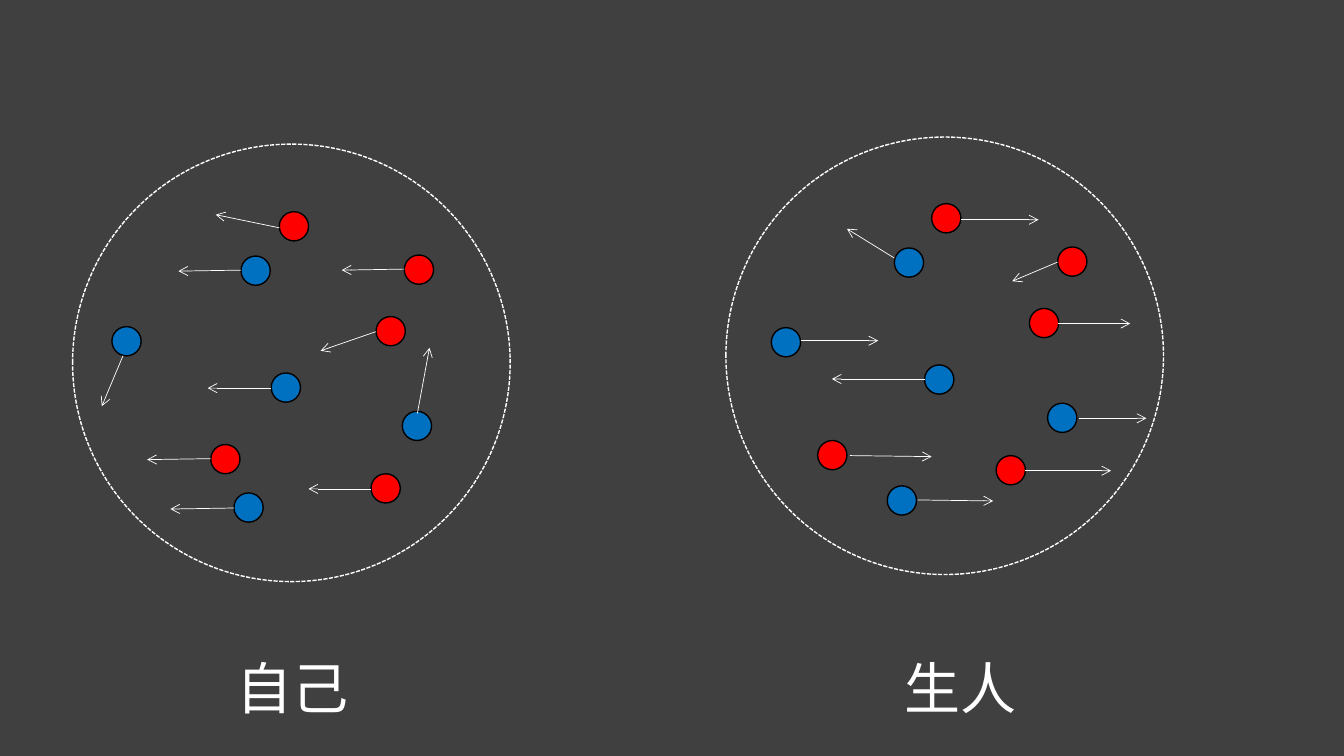
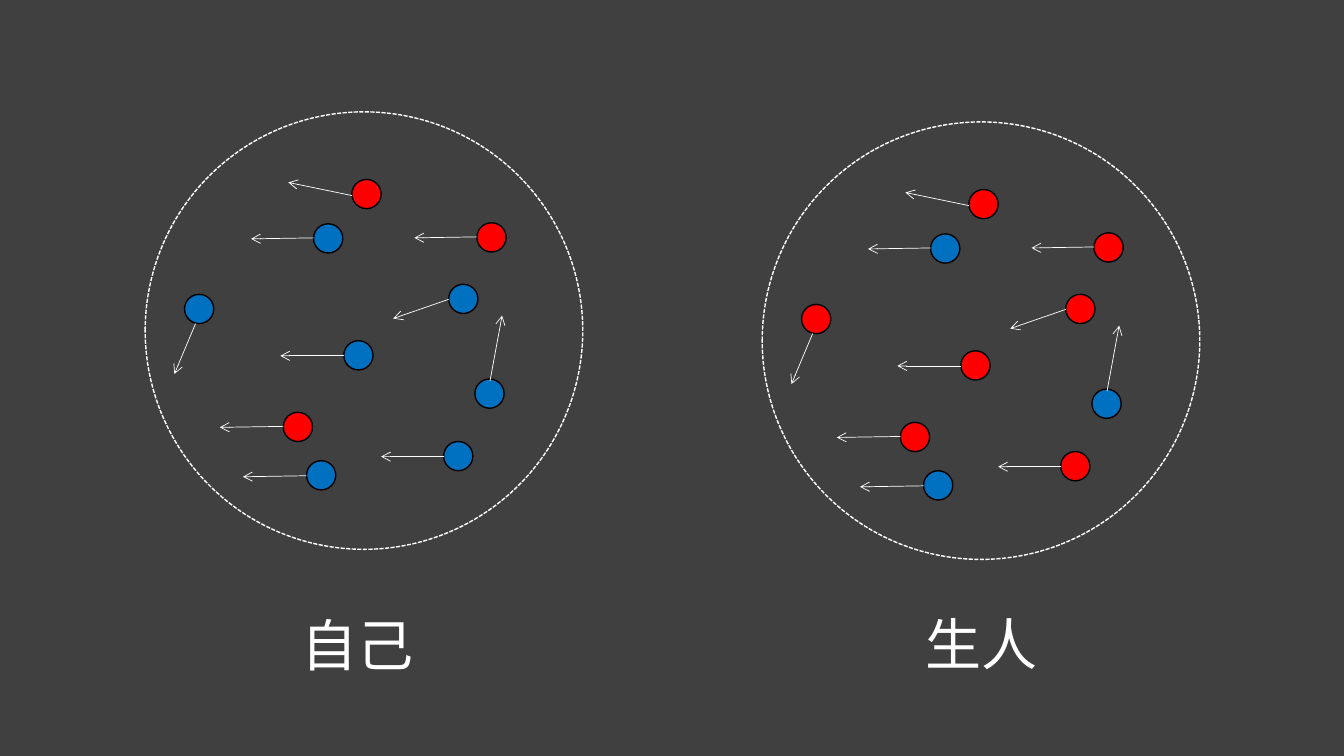
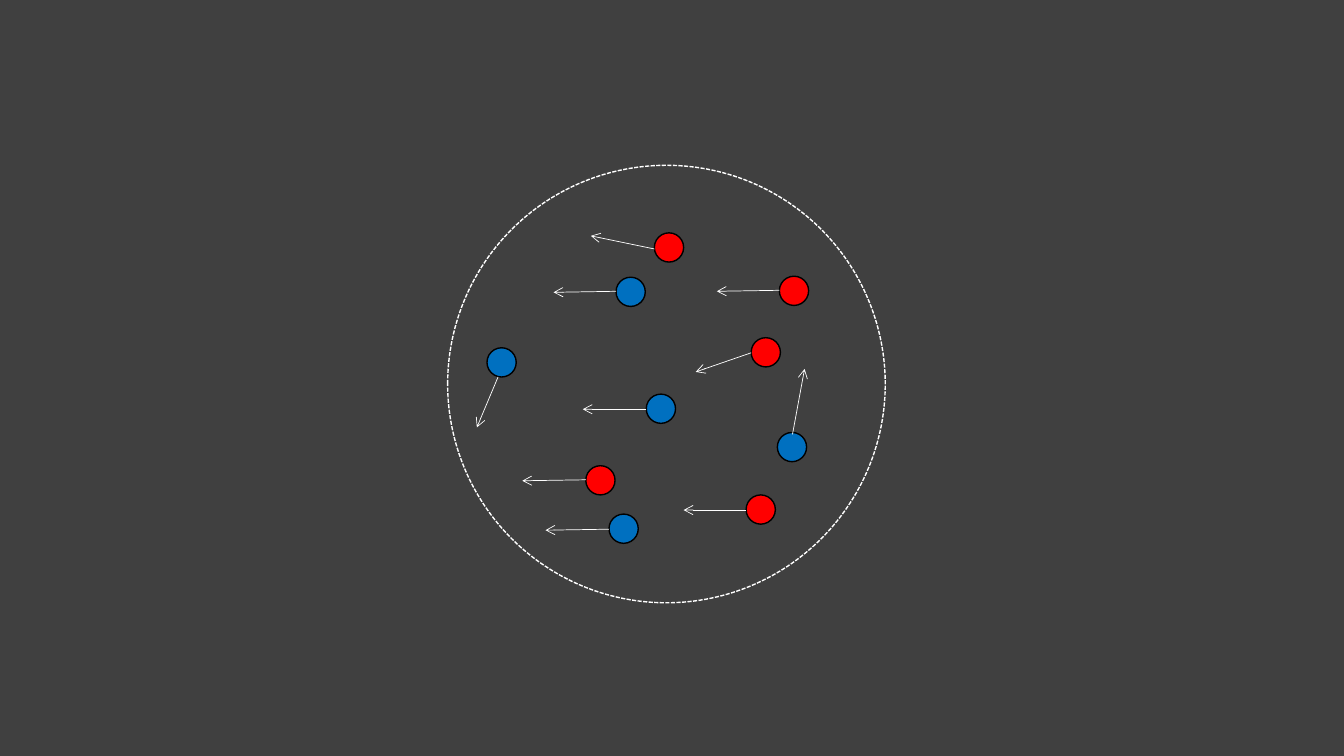
import pptx
import pptx.util
import pptx.dml.color
import pptx.enum.dml
import pptx.enum.shapes
import pptx.enum.text
import pptx.oxml.ns
import lxml.etree

EMU_PER_PX = 9144
SLIDE_WIDTH, SLIDE_HEIGHT = 1333, 750
BACKGROUND, WHITE, BLACK = "404040", "FFFFFF", "000000"
DOT_COLOURS = {"R": "FF0000", "B": "0070C0"}
FONT = "Noto Sans CJK SC"
CIRCLE_SIZE, DOT_SIZE = 434, 29
CAPTION_WIDTH, CAPTION_HEIGHT = 132, 77

# Each entry: dot corner, arrow start, arrow end, all measured from the circle's box.
ALIGNED_MOTION = [
    ((137, 298), (137, 312), (74, 313)),
    ((301, 171), (301, 186), (246, 205)),
    ((197, 227), (197, 242), (134, 242)),
    ((296, 327), (296, 342), (234, 342)),
    ((205, 67), (205, 83), (142, 70)),
    ((39, 181), (50, 210), (29, 260)),
    ((329, 110), (329, 124), (267, 125)),
    ((327, 265), (342, 267), (354, 202)),
    ((167, 111), (167, 125), (105, 126)),
    ((160, 346), (160, 361), (97, 362)),
]
OPPOSED_MOTION = [
    ((91, 301), (123, 316), (204, 317)),
    ((301, 170), (329, 185), (401, 185)),
    ((197, 226), (197, 240), (105, 240)),
    ((268, 316), (297, 331), (382, 331)),
    ((204, 66), (233, 82), (310, 82)),
    ((45, 189), (74, 202), (151, 202)),
    ((329, 109), (329, 124), (284, 143)),
    ((319, 264), (350, 279), (417, 279)),
    ((167, 110), (167, 120), (120, 91)),
    ((160, 346), (190, 360), (265, 361)),
]
MIXED, MOSTLY_BLUE, MOSTLY_RED = "RRBRRBRBBB", "RBBBRBRBBB", "RRRRRRRBBB"

SLIDES = [
    [
        ((72, 143), ALIGNED_MOTION, MIXED, "自己", (225, 643)),
        ((720, 136), OPPOSED_MOTION, MIXED, "生人", (887, 643)),
    ],
    [
        ((144, 111), ALIGNED_MOTION, MOSTLY_BLUE, "自己", (289, 601)),
        ((756, 121), ALIGNED_MOTION, MOSTLY_RED, "生人", (908, 600)),
    ],
    [
        ((444, 164), ALIGNED_MOTION, MIXED, None, None),
    ],
]


def px(length):
    return pptx.util.Emu(length * EMU_PER_PX)


def colour(hex_string):
    return pptx.dml.color.RGBColor.from_string(hex_string)


def add_ellipse(group, left, top, size, fill, line):
    ellipse = group.shapes.add_shape(
        pptx.enum.shapes.MSO_SHAPE.OVAL, px(left), px(top), px(size), px(size))
    ellipse.shadow.inherit = False
    if fill:
        ellipse.fill.solid()
        ellipse.fill.fore_color.rgb = colour(fill)
    else:
        ellipse.fill.background()
    ellipse.line.color.rgb = colour(line)
    ellipse.line.width = pptx.util.Pt(1)
    return ellipse


def add_arrow(group, start, end):
    arrow = group.shapes.add_connector(
        pptx.enum.shapes.MSO_CONNECTOR.STRAIGHT, *map(px, start + end))
    arrow.line.color.rgb = colour(WHITE)
    arrow.line.width = pptx.util.Pt(0.5)
    qn = pptx.oxml.ns.qn
    properties = arrow._element.spPr
    lxml.etree.SubElement(properties.find(qn("a:ln")), qn("a:tailEnd"), type="arrow")
    lxml.etree.SubElement(properties, qn("a:effectLst"))


def add_crowd(slide, corner, motion, dot_colours):
    left, top = corner
    crowd = slide.shapes.add_group_shape()
    boundary = add_ellipse(crowd, left, top, CIRCLE_SIZE, None, WHITE)
    boundary.line.dash_style = pptx.enum.dml.MSO_LINE.SQUARE_DOT
    for dot_colour, points in zip(dot_colours, motion):
        dot, start, end = [(left + x, top + y) for x, y in points]
        add_ellipse(crowd, *dot, DOT_SIZE, DOT_COLOURS[dot_colour], BLACK)
        add_arrow(crowd, start, end)


def add_caption(slide, corner, text):
    caption = slide.shapes.add_textbox(
        *map(px, corner), px(CAPTION_WIDTH), px(CAPTION_HEIGHT))
    frame = caption.text_frame
    frame.word_wrap = False
    frame.auto_size = pptx.enum.text.MSO_AUTO_SIZE.SHAPE_TO_FIT_TEXT
    run = frame.paragraphs[0].add_run()
    run.text = text
    run.font.size = pptx.util.Pt(40)
    run.font.color.rgb = colour(WHITE)
    run.font.name = FONT
    lxml.etree.SubElement(
        run.font._element, pptx.oxml.ns.qn("a:ea"), typeface=FONT)


def add_crowd_slide(presentation, crowds):
    slide = presentation.slides.add_slide(presentation.slide_layouts[6])
    slide.background.fill.solid()
    slide.background.fill.fore_color.rgb = colour(BACKGROUND)
    for corner, motion, dot_colours, caption, caption_corner in crowds:
        add_crowd(slide, corner, motion, dot_colours)
        if caption:
            add_caption(slide, caption_corner, caption)


def main():
    presentation = pptx.Presentation()
    presentation.slide_width = px(SLIDE_WIDTH)
    presentation.slide_height = px(SLIDE_HEIGHT)
    for crowds in SLIDES:
        add_crowd_slide(presentation, crowds)
    presentation.save("out.pptx")


if __name__ == "__main__":
    main()
